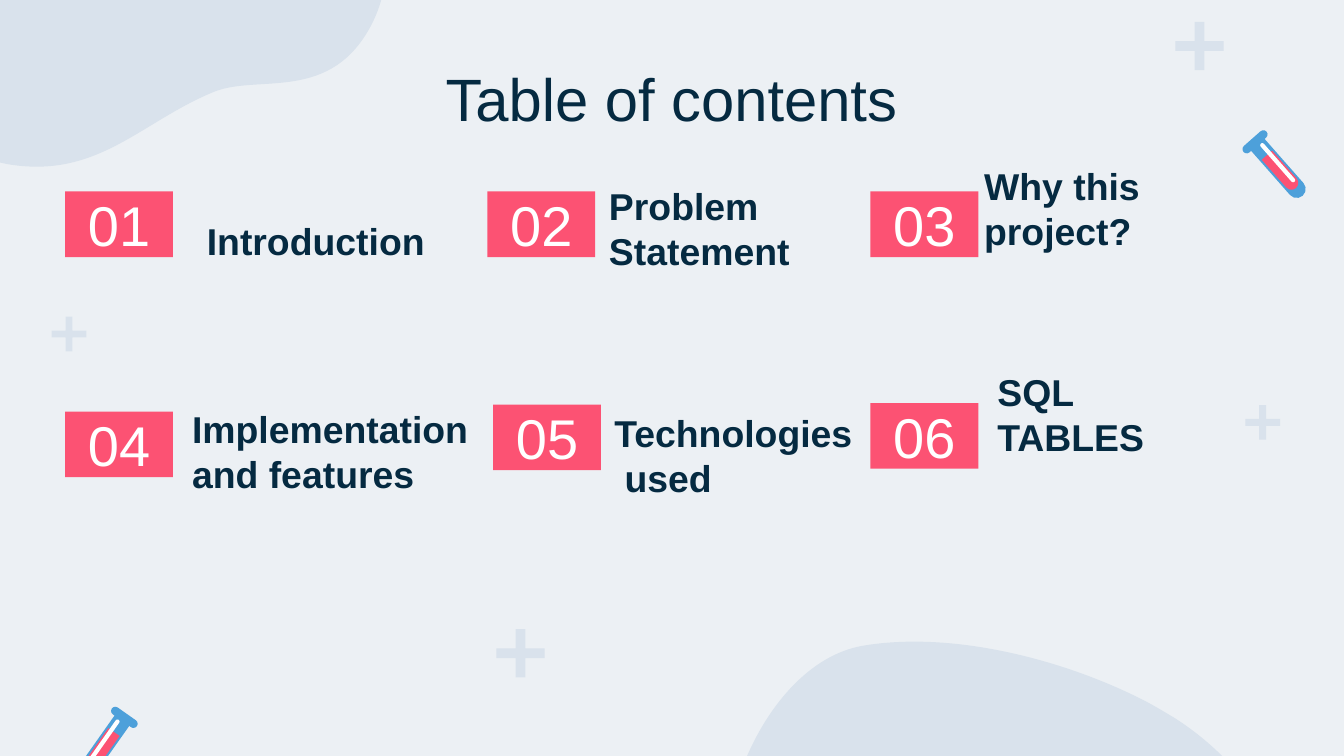
from math import cos, pi, radians, sin

from lxml import etree
from pptx import Presentation
from pptx import util as u
from pptx.dml.color import RGBColor
from pptx.enum import shapes, text
from pptx.oxml.ns import qn

THEME = {
    "font": "Arial", "title": 32, "badge": 30, "label": 20,
    "back": "ECF0F4", "pale": "D9E2EC", "ink": "052A41",
    "pink": "FC5273", "blue": "4DA0DA", "white": "FFFFFF",
}

WIDE, HIGH = 25.4, 14.29
TITLE = ("Table of contents", (1.99, 0.91, 21.41, 1.6))
BADGE = (2.04, 1.24)
ITEMS = [
    ("01", (1.23, 3.62), "Introduction", (3.66, 3.21, 4.72, 2.01)),
    ("02", (9.21, 3.62), "Problem\nStatement", (11.26, 3.61, 6.48, 1.8)),
    ("03", (16.45, 3.62), "Why this project?", (18.35, 3.02, 6.17, 2.01)),
    ("04", (1.23, 7.78), "Implementation and features", (3.38, 7.62, 5.82, 2.01)),
    ("05", (9.32, 7.65), "Technologies\n used", (11.36, 7.69, 5.23, 2.01)),
    ("06", (16.45, 7.62), "SQL TABLES", (18.6, 6.92, 4.72, 2.01)),
]
PLUSES = [(22.05, 0.25, 1.24), (0.86, 5.87, 0.89), (23.42, 7.54, 0.89), (9.22, 11.73, 1.24)]

# start point, then three points for each curve
BLOB = [
    (-1.17, 2.64),
    (-0.76, 2.87), (-0.33, 3.0), (0.13, 3.1),
    (1.85, 3.4), (2.67, 2.29), (4.06, 1.73),
    (4.9, 1.4), (6.27, 1.96), (7.04, 0.43),
    (7.9, -1.32), (6.3, -2.82), (5.33, -3.43),
    (5.16, -3.53), (4.95, -3.66), (4.75, -3.76),
    (3.3, -4.5), (1.17, -5.08), (-0.56, -4.78),
    (-2.36, -4.45), (-3.61, -1.55), (-3.05, 0.46),
    (-2.77, 1.45), (-2.06, 2.18), (-1.17, 2.64),
]
SHIFTS = [(0, 0), (16.85, 16.99)]

# neck x, neck y, angle, side
TUBES = [(2.35, 13.56, 125.2, 1), (23.72, 2.68, 48.6, -1)]
# colour, turn, start, end, offset, half width, round start
PARTS = [
    ("blue", 0, 0, 1.36, 0, 0.17, False),
    ("pink", 0, 0.34, 1.17, 0, 0.13, False),
    ("blue", 90, -0.29, 0.29, 0, 0.08, True),
    ("white", 0, 0.1, 1.06, 0.06, 0.04, True),
]


def tint(name):
    return RGBColor.from_string(THEME[name])


def paint(shape, name):
    shape.shadow.inherit = False
    shape.fill.solid()
    shape.fill.fore_color.rgb = tint(name)
    shape.line.fill.background()


def place(box):
    return [u.Cm(v) for v in box]


def write(shape, words, size, hue, align, anchor, bold=False):
    frame = shape.text_frame
    frame.text = words
    frame.word_wrap = True
    frame.vertical_anchor = anchor
    frame.margin_left = frame.margin_right = u.Cm(0.25)
    frame.margin_top = frame.margin_bottom = u.Cm(0.25)
    for par in frame.paragraphs:
        par.alignment = align
        for run in par.runs:
            font = run.font
            font.name, font.size, font.bold = THEME["font"], u.Pt(THEME[size]), bold
            font.color.rgb = tint(hue)


def trace(tree, points, name):
    spots = [place(p) for p in points]
    pen = tree.build_freeform(*spots[0])
    pen.add_line_segments(spots[1:], close=True)
    shape = pen.convert_to_shape()
    paint(shape, name)
    return shape


def bend(shape):
    lines = list(shape.element.iter(qn("a:lnTo")))
    for i in range(0, len(lines), 3):
        cubic = etree.Element(qn("a:cubicBezTo"))
        lines[i].addprevious(cubic)
        for line in lines[i:i + 3]:
            cubic.append(line[0])
            line.getparent().remove(line)


def pill(start, end, off, half, both, steps=6):
    arc = [pi * k / steps - pi / 2 for k in range(steps + 1)]
    tail = [(end - half + half * cos(b), off + half * sin(b)) for b in arc]
    if both:
        head = [(start + half - half * cos(b), off - half * sin(b)) for b in arc]
    else:
        head = [(start, off + half), (start, off - half)]
    return tail + head


def turn(points, x, y, angle):
    c, s = cos(radians(angle)), sin(radians(angle))
    return [(x + a * c - b * s, y + a * s + b * c) for a, b in points]


def main():
    """Build the table of contents slide."""
    deck = Presentation()
    deck.slide_width, deck.slide_height = u.Cm(WIDE), u.Cm(HIGH)
    slide = deck.slides.add_slide(deck.slide_layouts[6])
    slide.background.fill.solid()
    slide.background.fill.fore_color.rgb = tint("back")
    tree = slide.shapes

    for dx, dy in SHIFTS:
        bend(trace(tree, [(x + dx, y + dy) for x, y in BLOB], "pale"))
    for x, y, size in PLUSES:
        plus = tree.add_shape(shapes.MSO_SHAPE.MATH_PLUS, *place((x, y, size, size)))
        plus.adjustments[0] = 0.148
        paint(plus, "pale")
    for x, y, angle, side in TUBES:
        for name, spin, start, end, off, half, both in PARTS:
            points = pill(start, end, off * side, half, both)
            trace(tree, turn(points, x, y, angle + spin), name)

    mid, left = text.PP_ALIGN.CENTER, text.PP_ALIGN.LEFT
    anchor = text.MSO_ANCHOR
    words, box = TITLE
    write(tree.add_textbox(*place(box)), words, "title", "ink", mid, anchor.TOP)
    for num, spot, label, box in ITEMS:
        badge = tree.add_shape(shapes.MSO_SHAPE.RECTANGLE, *place(spot + BADGE))
        paint(badge, "pink")
        write(badge, num, "badge", "white", mid, anchor.MIDDLE)
        write(tree.add_textbox(*place(box)), label, "label", "ink", left, anchor.BOTTOM, True)

    deck.save("out.pptx")


if __name__ == "__main__":
    main()
